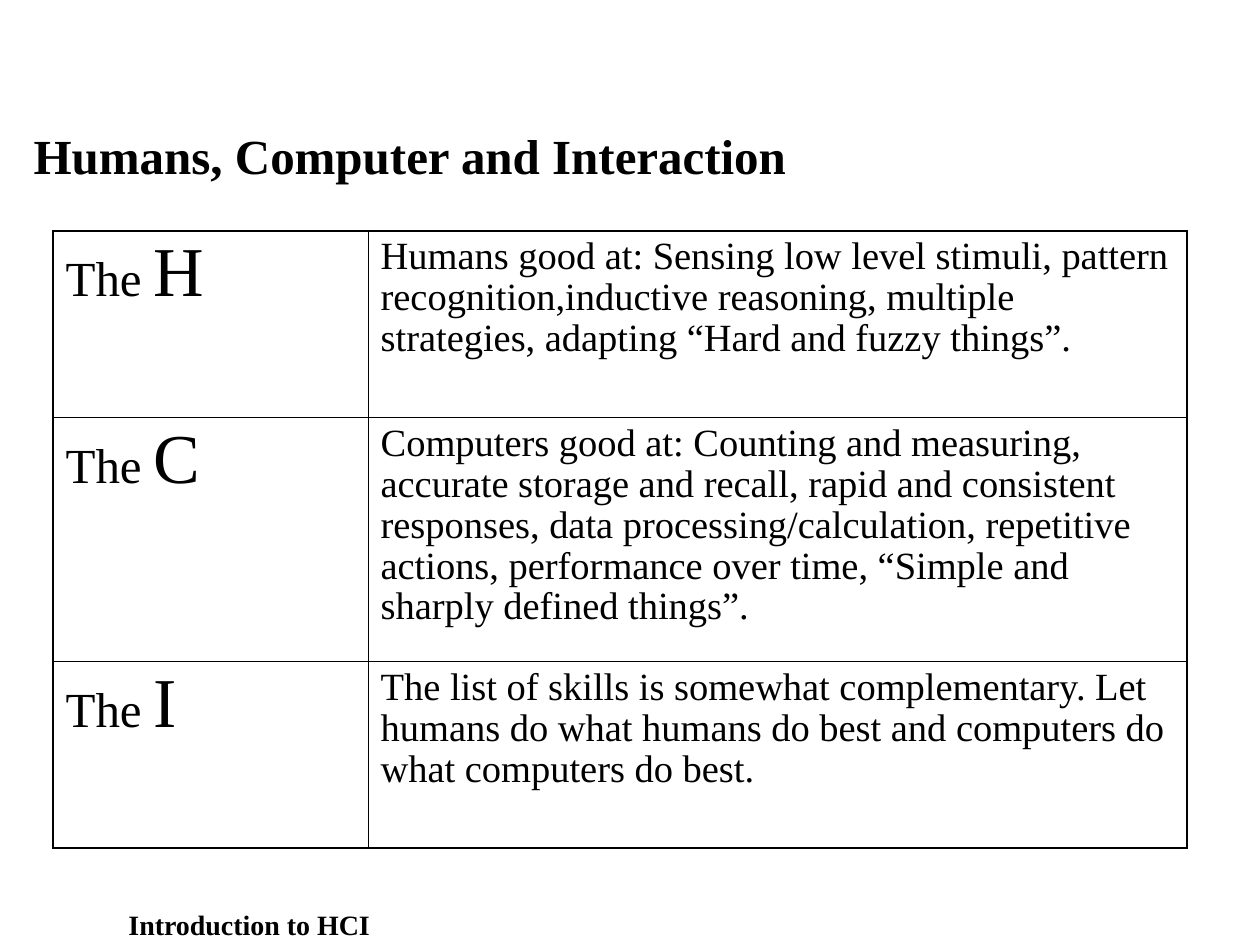
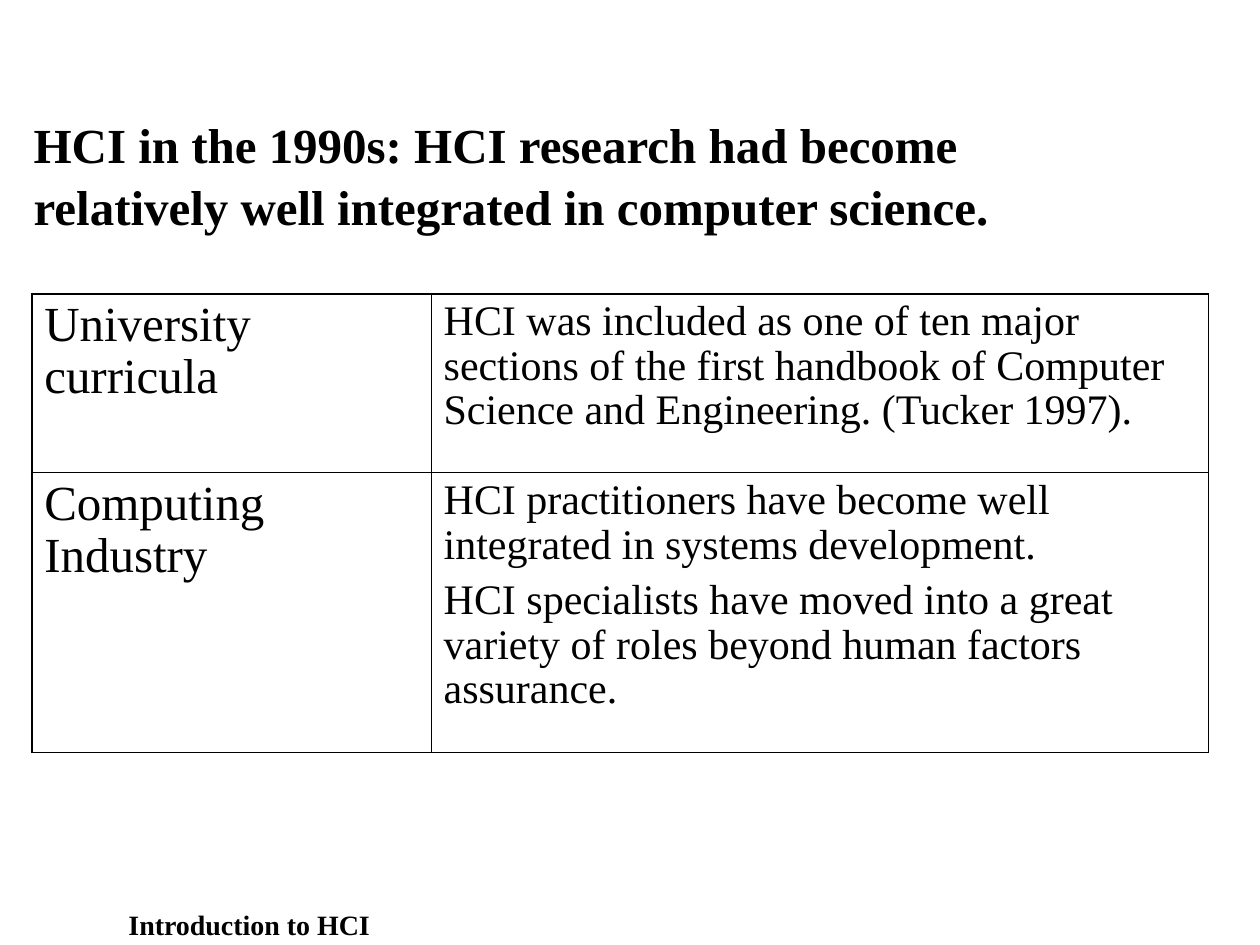
from lxml import etree
from pptx import Presentation
from pptx.dml.color import RGBColor
from pptx.enum.text import MSO_ANCHOR as Anchor
from pptx.oxml.ns import qn
from pptx.util import Cm, Pt

FONT = "Times New Roman"
BLACK = "000000"
OUTER, INNER = 1.08, 0.45  # table rules in points


def color(hex_text):
    return RGBColor.from_string(hex_text)


def write(tf, paragraphs, line_spacing, space_before=0, bold=False):
    """Fill a text frame; each paragraph is a list of (text, size) runs."""
    tf.word_wrap = True
    for i, runs in enumerate(paragraphs):
        p = tf.add_paragraph() if i else tf.paragraphs[0]
        p.line_spacing = line_spacing
        if i:
            p.space_before = Pt(space_before)
        for text, size in runs:
            r = p.add_run()
            r.text = text
            r.font.name = FONT
            r.font.size = Pt(size)
            r.font.bold = bold
            r.font.color.rgb = color(BLACK)


# Slide content: lengths in cm
slides = [
    {
        "title": "Humans, Computer and Interaction",
        "title_box": (0.43, 2.34, 24.56, 1.45),
        "anchor": Anchor.TOP,
        "table_at": (1.07, 4.65),
        "cols": (6.35, 16.51),
        "row_heights": (3.76, 4.93, 3.76),
        "body_size": 22,
        "rows": [
            ([("The ", 28), ("H", 40)],
             ["Humans good at: Sensing low level stimuli, pattern "
              "recognition,inductive reasoning, multiple strategies, "
              "adapting “Hard and fuzzy things”."]),
            ([("The ", 28), ("C", 40)],
             ["Computers good at: Counting and measuring, accurate storage "
              "and recall, rapid and consistent responses, data "
              "processing/calculation, repetitive actions, performance over "
              "time, “Simple and sharply defined things”."]),
            ([("The ", 28), ("I", 40)],
             ["The list of skills is somewhat complementary. Let humans do "
              "what humans do best and computers do what computers do best."]),
        ],
    },
    {
        "title": "HCI in the 1990s: HCI research had become relatively well "
                 "integrated in computer science.",
        "title_box": (0.43, 1.7, 22.66, 3.61),
        "anchor": Anchor.MIDDLE,
        "table_at": (0.64, 5.92),
        "cols": (8.05, 15.67),
        "row_heights": (3.61, 5.64),
        "body_size": 24,
        "rows": [
            ([("University curricula", 28)],
             ["HCI was included as one of ten major sections of the first "
              "handbook of Computer Science and Engineering. (Tucker 1997)."]),
            ([("Computing Industry", 28)],
             ["HCI practitioners have become well integrated in systems "
              "development.",
              "HCI specialists have moved into a great variety of roles "
              "beyond human factors assurance."]),
        ],
    },
]

prs = Presentation()
prs.slide_width, prs.slide_height = Cm(25.4), Cm(19.05)

for content in slides:
    s = prs.slides.add_slide(prs.slide_layouts[6])

    # Title and footer
    title = s.shapes.add_textbox(*map(Cm, content["title_box"]))
    title.text_frame.vertical_anchor = content["anchor"]
    write(title.text_frame, [[(content["title"], 28)]], 1.05, bold=True)
    footer = s.shapes.add_textbox(Cm(2.34), Cm(18.14), Cm(5.51), Cm(0.94))
    write(footer.text_frame, [[("Introduction to HCI", 16)]], 1.05, bold=True)

    # Table grid
    rows, cols, heights = content["rows"], content["cols"], content["row_heights"]
    left, top = content["table_at"]
    table = s.shapes.add_table(len(rows), len(cols), Cm(left), Cm(top),
                               Cm(sum(cols)), Cm(sum(heights))).table
    table.first_row = table.horz_banding = False
    for column, width in zip(table.columns, cols):
        column.width = Cm(width)
    for row, height in zip(table.rows, heights):
        row.height = Cm(height)

    # Cells: label on the left, description on the right
    for i, (label, body) in enumerate(rows):
        description = [[(text, content["body_size"])] for text in body]
        for j, paragraphs in enumerate(([label], description)):
            cell = table.cell(i, j)
            write(cell.text_frame, paragraphs, 0.96, space_before=6)

            # Heavier rule on the outer edge
            on_edge = {"lnL": j == 0, "lnR": j == len(cols) - 1,
                       "lnT": i == 0, "lnB": i == len(rows) - 1}
            tcPr = cell._tc.get_or_add_tcPr()
            for side, outer in on_edge.items():
                ln = etree.SubElement(tcPr, qn("a:" + side),
                                      w=str(Pt(OUTER if outer else INNER)))
                fill = etree.SubElement(ln, qn("a:solidFill"))
                etree.SubElement(fill, qn("a:srgbClr"), val=BLACK)
            cell.fill.background()

prs.save("out.pptx")
